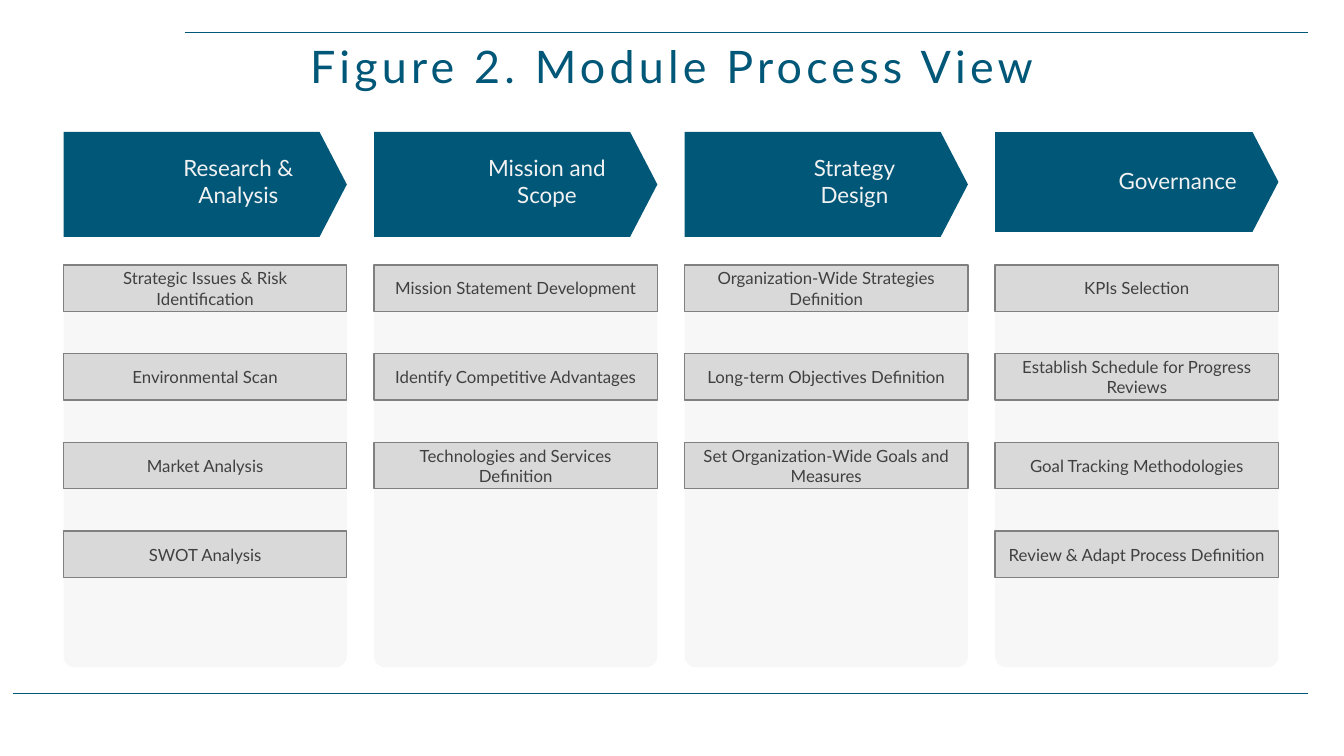
"""Builds the Module Process View slide: four process stages with their steps."""
from lxml import etree
from pptx import Presentation
from pptx.dml.color import RGBColor
from pptx.enum.shapes import MSO_CONNECTOR, MSO_SHAPE
from pptx.enum.text import MSO_ANCHOR, PP_ALIGN
from pptx.oxml.ns import qn
from pptx.util import Inches, Pt

STRAIGHT = MSO_CONNECTOR.STRAIGHT
RECTANGLE = MSO_SHAPE.RECTANGLE
ROUNDED = MSO_SHAPE.ROUNDED_RECTANGLE
PENTAGON = MSO_SHAPE.PENTAGON
MIDDLE, BOTTOM, TOP = MSO_ANCHOR.MIDDLE, MSO_ANCHOR.BOTTOM, MSO_ANCHOR.TOP
CENTER = PP_ALIGN.CENTER

COLORS = {
    "teal": "005778",
    "pale": "F2F2F2",
    "step": "D9D9D9",
    "border": "808080",
    "text": "404040",
}
STAGES = [
    {"lines": ["Research & Analysis"], "caption": (1.53, 1.48, 1.67, 0.64),
     "arrow_height": 1.04,
     "steps": ["Strategic Issues & Risk Identification", "Environmental Scan",
               "Market Analysis", "SWOT Analysis"]},
    {"lines": ["Mission and", "Scope"], "caption": (4.73, 1.48, 1.39, 0.64),
     "arrow_height": 1.04,
     "steps": ["Mission Statement Development", "Identify Competitive Advantages",
               "Technologies and Services Definition"]},
    {"lines": ["Strategy", "Design"], "caption": (7.94, 1.48, 1.07, 0.64),
     "arrow_height": 1.04,
     "steps": ["Organization-Wide Strategies Definition",
               "Long-term Objectives Definition",
               "Set Organization-Wide Goals and Measures"]},
    {"lines": ["Governance"], "caption": (10.99, 1.61, 1.38, 0.37),
     "arrow_height": 0.99,
     "steps": ["KPIs Selection", "Establish Schedule for Progress Reviews",
               "Goal Tracking Methodologies", "Review & Adapt Process Definition"]},
]
LEFT, COLUMN_STEP, WIDTH = 0.63, 3.08, 2.81
STEP_TOP, ROW_STEP, STEP_HEIGHT = 2.63, 0.88, 0.46


def add_block(kind, left, top, height, fill):
    """Adds a borderless filled shape of the column width."""
    block = page.shapes.add_shape(
        kind, Inches(left), Inches(top), Inches(WIDTH), Inches(height))
    block.shadow.inherit = False
    block.fill.solid()
    block.fill.fore_color.rgb = RGBColor.from_string(COLORS[fill])
    block.line.fill.background()
    return block


def write(box, lines, size, color, anchor, wrap=True):
    """Writes centred lines, one paragraph each, and returns the last one."""
    frame = box.text_frame
    frame.word_wrap = wrap
    frame.vertical_anchor = anchor
    for number, line in enumerate(lines):
        para = frame.add_paragraph() if number else frame.paragraphs[0]
        para.alignment = CENTER
        span = para.add_run()
        span.text = line
        span.font.name = "Lato"
        span.font.size = Pt(size)
        span.font.color.rgb = RGBColor.from_string(COLORS[color])
    return para


deck = Presentation()
deck.slide_width, deck.slide_height = Inches(13.33), Inches(7.5)
page = deck.slides.add_slide(deck.slide_layouts[6])

for start, height in [(1.84, 0.32), (0.13, 6.88)]:
    rule = page.shapes.add_connector(
        STRAIGHT, Inches(start), Inches(height), Inches(12.97), Inches(height))
    rule.line.color.rgb = RGBColor.from_string(COLORS["teal"])
    rule.line.width = Pt(1)
    etree.SubElement(rule._element.spPr, qn("a:effectLst"))

title = page.shapes.add_textbox(Inches(0), Inches(0.36), Inches(13.33), Inches(0.6))
title_para = write(title, ["Figure 2. Module Process View"], 32, "teal", BOTTOM)
title_para.line_spacing = 0.8
title_para.runs[0].font._element.set("spc", "300")

for column, stage in enumerate(STAGES):
    left = LEFT + column * COLUMN_STEP

    panel = add_block(ROUNDED, left, 2.65, 3.97, "pale")
    panel.adjustments[0] = 0.04
    panel_color = panel._element.spPr.find(qn("a:solidFill"))[0]
    etree.SubElement(panel_color, qn("a:alpha"), val="60000")

    arrow = add_block(PENTAGON, left, 1.31, stage["arrow_height"], "teal")
    arrow.adjustments[0] = 0.26

    caption = page.shapes.add_textbox(*[Inches(value) for value in stage["caption"]])
    write(caption, stage["lines"], 16, "pale", TOP, wrap=len(stage["lines"][0]) > 12)

    for row, step in enumerate(stage["steps"]):
        box = add_block(RECTANGLE, left, STEP_TOP + row * ROW_STEP, STEP_HEIGHT, "step")
        box.line.color.rgb = RGBColor.from_string(COLORS["border"])
        box.line.width = Pt(1)
        write(box, [step], 12, "text", MIDDLE)

deck.save("out.pptx")
